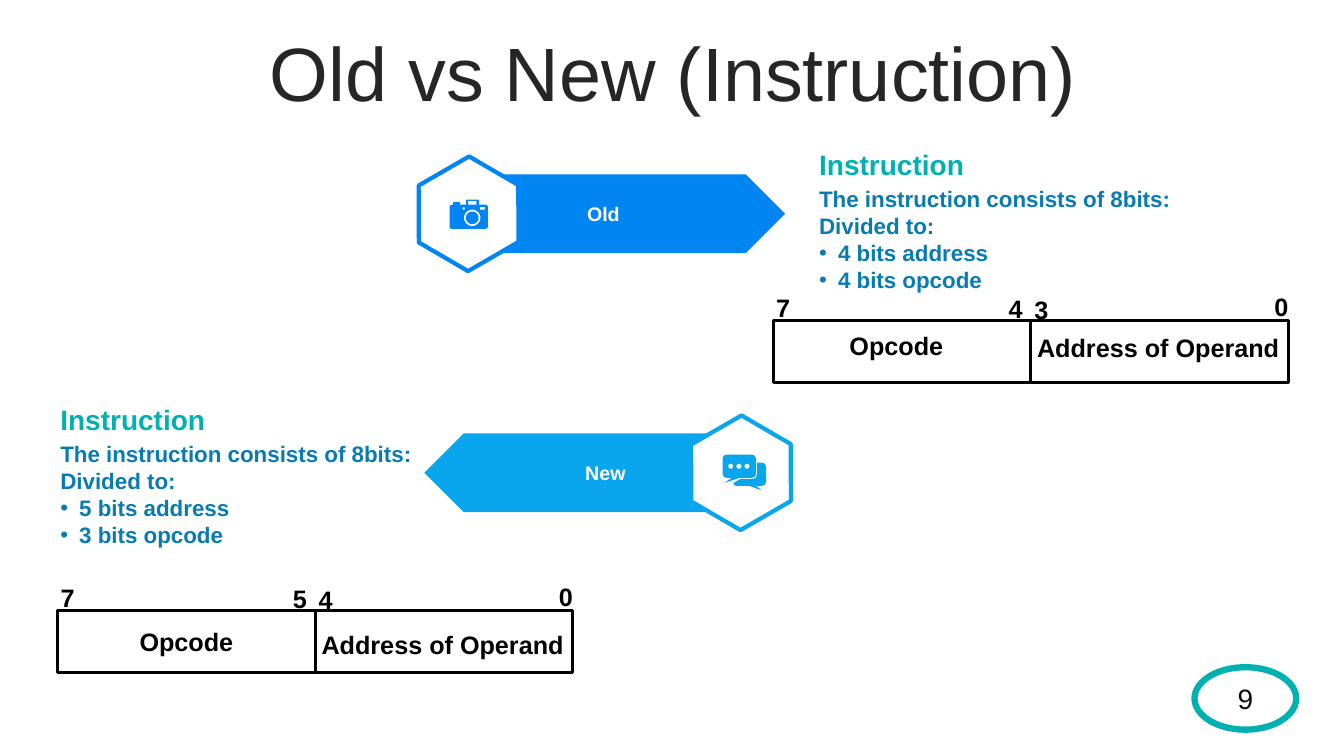
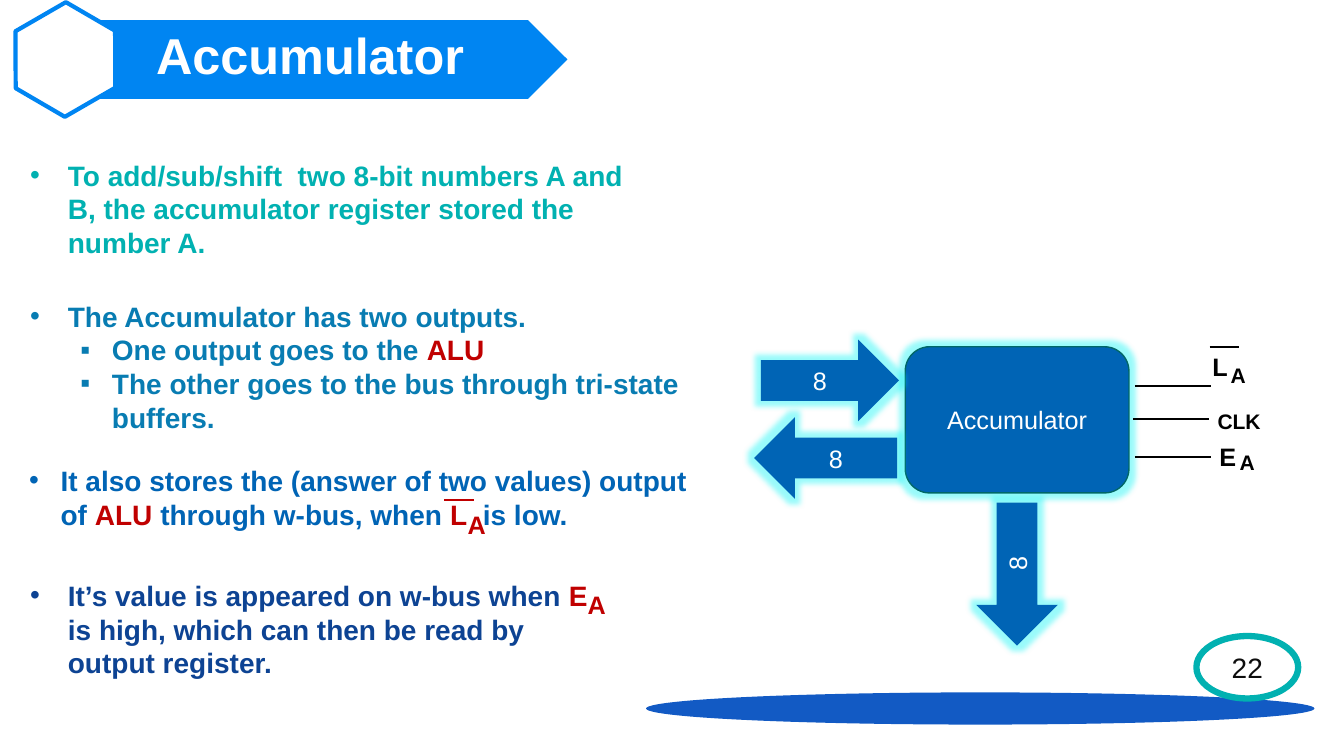
import math
from dataclasses import dataclass
from typing import NamedTuple

import pptx
import pptx.dml.color
import pptx.enum.shapes
import pptx.enum.text
import pptx.oxml.ns
import pptx.oxml.xmlchemy
import pptx.util
from lxml import etree

Pt = pptx.util.Pt
Shapes = pptx.enum.shapes.MSO_SHAPE
Align = pptx.enum.text.PP_ALIGN
Anchor = pptx.enum.text.MSO_ANCHOR
qn = pptx.oxml.ns.qn


@dataclass(frozen=True)
class Theme:
    font: str = "Arial"
    white: str = "FFFFFF"
    black: str = "000000"
    title: str = "262626"
    number: str = "0D0D0D"
    teal: str = "01B1B1"
    steel: str = "087CB2"
    ocean: str = "0064B5"
    navy: str = "0D4393"
    azure: str = "0085F2"
    sky: str = "0AA6ED"
    red: str = "C00000"
    floor: str = "125AC4"
    edge: str = "016767"
    glow: str = "00F5F5"
    huge: float = 54
    banner: float = 36
    large: float = 20
    medium: float = 18
    body: float = 16
    pin: float = 15
    label: float = 14


THEME = Theme()


class Box(NamedTuple):
    left: float
    top: float
    width: float
    height: float


class Span(NamedTuple):
    text: str
    color: str
    size: float
    bold: bool = True


class Para(NamedTuple):
    spans: list[Span]
    bullet: str = ""
    margin: float = 0
    hang: float = 0
    align: Align = Align.LEFT


class Corner(NamedTuple):
    x: float
    y: float
    radius: float = 0


class Banner(NamedTuple):
    plate: Box
    color: str
    label: str
    size: float
    label_box: Box
    points_left: bool = False


class Register(NamedTuple):
    left: float
    top: float
    bits: tuple[str, str, str, str]
    opcode_center: float
    opcode_top: float
    operand_top: float


class Pin(NamedTuple):
    text: str
    size: float
    left: float
    top: float


def rgb(color: str) -> pptx.dml.color.RGBColor:
    return pptx.dml.color.RGBColor.from_string(color)


def write(shape, paras: list[Para], anchor: Anchor = Anchor.TOP) -> None:
    frame = shape.text_frame
    frame.word_wrap = True
    frame.vertical_anchor = anchor
    for index, item in enumerate(paras):
        para = frame.add_paragraph() if index else frame.paragraphs[0]
        para.alignment = item.align
        if item.bullet:
            props = para._p.get_or_add_pPr()
            props.set("marL", str(Pt(item.margin)))
            props.set("indent", str(-Pt(item.hang)))
            etree.SubElement(props, qn("a:buFont")).set("typeface", THEME.font)
            etree.SubElement(props, qn("a:buChar")).set("char", item.bullet)
        for part in item.spans:
            span = para.add_run()
            span.text = part.text
            span.font.name = THEME.font
            span.font.size = Pt(part.size)
            span.font.bold = part.bold
            span.font.color.rgb = rgb(part.color)


def add_text(page, box: Box, paras: list[Para], anchor: Anchor = Anchor.TOP):
    shape = page.shapes.add_textbox(*map(Pt, box))
    write(shape, paras, anchor)
    return shape


def centered(text: str, color: str, size: float, bold: bool = True) -> list[Para]:
    return [Para([Span(text, color, size, bold)], align=Align.CENTER)]


def add_label(page, text: str, size: float, left: float, top: float, width: float = 40) -> None:
    add_text(page, Box(left, top, width, 28), [Para([Span(text, THEME.black, size)])])


def paint(shape, fill: str = "", line: str = "", weight: float = 0) -> None:
    if fill:
        shape.fill.solid()
        shape.fill.fore_color.rgb = rgb(fill)
    else:
        shape.fill.background()
    if line:
        shape.line.color.rgb = rgb(line)
        shape.line.width = Pt(weight)
    else:
        shape.line.fill.background()
    shape.shadow.inherit = False


def add_shape(page, kind: Shapes, box: Box, fill: str = "", line: str = "", weight: float = 0):
    shape = page.shapes.add_shape(kind, *map(Pt, box))
    paint(shape, fill, line, weight)
    return shape


def add_glow(shape) -> None:
    effects = shape._element.spPr.find(qn("a:effectLst"))
    glow = etree.SubElement(effects, qn("a:glow"))
    glow.set("rad", str(Pt(8)))
    color = etree.SubElement(glow, qn("a:srgbClr"))
    color.set("val", THEME.glow)
    etree.SubElement(color, qn("a:alpha")).set("val", "40000")


def add_line(page, x: float, y: float, length: float, color: str, weight: float = 1.5):
    line = page.shapes.add_connector(
        pptx.enum.shapes.MSO_CONNECTOR.STRAIGHT, Pt(x), Pt(y), Pt(x + length), Pt(y))
    line.line.color.rgb = rgb(color)
    line.line.width = Pt(weight)
    etree.SubElement(line._element.spPr, qn("a:effectLst"))
    return line


def outline(corners: list[Corner]) -> list[tuple[float, float]]:
    points = []
    for index, corner in enumerate(corners):
        if not corner.radius:
            points.append((corner.x, corner.y))
            continue
        ends = []
        for other in (corners[index - 1], corners[(index + 1) % len(corners)]):
            reach = corner.radius / math.hypot(other.x - corner.x, other.y - corner.y)
            ends.append((corner.x + (other.x - corner.x) * reach,
                         corner.y + (other.y - corner.y) * reach))
        (ax, ay), (bx, by) = ends
        for step in range(5):
            t = step / 4
            a, m, b = (1 - t) ** 2, 2 * t * (1 - t), t ** 2
            points.append((a * ax + m * corner.x + b * bx, a * ay + m * corner.y + b * by))
    return points


def circle(x: float, y: float, radius: float) -> list[tuple[float, float]]:
    angles = [math.tau * step / 24 for step in range(24)]
    return [(x + radius * math.cos(a), y + radius * math.sin(a)) for a in angles]


def window(left: float, top: float, right: float, bottom: float) -> list[tuple[float, float]]:
    return [(left, top), (right, top), (right, bottom), (left, bottom)]


def add_icon(page, left: float, top: float, contours: list, color: str) -> None:
    placed = [[(Pt(left + x), Pt(top + y)) for x, y in contour] for contour in contours]
    builder = page.shapes.build_freeform(*placed[0][0])
    for index, contour in enumerate(placed):
        if index:
            builder.move_to(*contour[0])
        builder.add_line_segments(contour[1:], close=True)
    paint(builder.convert_to_shape(), color)


def add_banner(page, banner: Banner) -> None:
    plate = banner.plate
    arrow = add_shape(page, Shapes.PENTAGON, plate, banner.color)
    width, height, overhang = 82, 70.6, 44
    left = plate.left - overhang
    if banner.points_left:
        arrow.rotation = 180
        left = plate.left + plate.width + overhang - width
    top = plate.top + (plate.height - height) / 2
    hexagon = add_shape(page, Shapes.HEXAGON, Box(left, top, width, height),
                        THEME.white, banner.color, 3)
    hexagon.adjustments[0] = 0.286
    hexagon.rotation = 330
    add_text(page, banner.label_box, centered(banner.label, THEME.white, banner.size))


def add_instruction(page, left: float, top: float, fields: list[str]) -> None:
    lines = ["The instruction consists of 8bits:", "Divided to:"]
    paras = [Para([Span(text, THEME.steel, THEME.body)]) for text in lines]
    paras += [Para([Span(text, THEME.steel, THEME.body)], "•", 13.5, 13.5) for text in fields]
    add_text(page, Box(left, top + 27.4, 345, 85), paras)
    add_text(page, Box(left, top, 345, 32), [Para([Span("Instruction", THEME.teal, THEME.large)])])


def add_register(page, register: Register) -> None:
    left, top, width = register.left, register.top, 368
    middle = left + width / 2
    frame = add_shape(page, Shapes.RECTANGLE, Box(left, top, width, 44), "", THEME.black, 2.25)
    divider = add_line(page, middle, top, 0, THEME.black, 2.25)
    divider.begin_connect(frame, 0)
    divider.end_connect(frame, 2)
    places = [(left - 5, 24), (middle - 23, 23), (middle - 4.6, 22.5), (left + width - 17, 24.5)]
    for bit, (x, rise) in zip(register.bits, places):
        add_label(page, bit, THEME.medium, x, top - rise, 25)
    for name, center, drop in (("Opcode", register.opcode_center, register.opcode_top),
                               ("Address of Operand", 275, register.operand_top)):
        add_text(page, Box(left + center - 100, top + drop, 200, 29),
                 centered(name, THEME.black, THEME.medium))


def add_number(page, number: str, left: float, top: float) -> None:
    badge = add_shape(page, Shapes.OVAL, Box(left, top, 72.7, 44.6), "", THEME.teal, 4.5)
    write(badge, centered(number, THEME.number, THEME.large, False), Anchor.MIDDLE)


def build_comparison(page) -> None:
    title = add_text(page, Box(25, 26.6, 911.5, 57),
                     centered("Old vs New (Instruction)", THEME.title, THEME.huge, False),
                     Anchor.MIDDLE)
    title.text_frame.paragraphs[0].line_spacing = 0.9
    title.text_frame.paragraphs[0].space_before = Pt(10)
    add_banner(page, Banner(Box(337.7, 124.6, 223.2, 56.2), THEME.azure, "Old", THEME.label,
                            Box(384.5, 140.4, 93, 24.5)))
    add_banner(page, Banner(Box(303.1, 309.6, 223.2, 56.2), THEME.sky, "New", THEME.label,
                            Box(385.9, 325.4, 93, 24.5), True))
    camera = [Corner(0, 3.6, 2), Corner(2.5, 3.6), Corner(2.5, 1.8, 0.5), Corner(7.4, 1.8, 0.5),
              Corner(7.4, 3.6), Corner(11.8, 3.6), Corner(11.8, 0, 0.7), Corner(20.9, 0, 0.7),
              Corner(20.9, 3.6), Corner(27.4, 3.6, 2), Corner(27.4, 20.9, 2), Corner(0, 20.9, 2)]
    add_icon(page, 321.1, 142.6,
             [outline(camera), window(13.3, 0.9, 19.1, 3.6), window(9.4, 5.6, 10.8, 7.2),
              window(21.6, 5.4, 25.2, 7.2), circle(16.2, 13, 5.9), circle(16.2, 13, 4.5)],
             THEME.azure)
    front = [Corner(0, 0, 3.4), Corner(23.8, 0, 3.4), Corner(23.8, 16.6, 3.4),
             Corner(12.2, 16.6), Corner(1.4, 20.2), Corner(6.5, 16.6), Corner(0, 16.6, 3.4)]
    back = [Corner(24.5, 5.8), Corner(31, 5.8, 3.4), Corner(31, 22.3, 3.4), Corner(23.8, 22.3),
            Corner(28.1, 25.6), Corner(18.7, 22.3), Corner(7.9, 22.3, 2), Corner(7.9, 20.2),
            Corner(13, 17.3), Corner(24.5, 17.3, 3.4)]
    dots = [circle(5.8 + 5.8 * index, 8.3, 1.8) for index in range(3)]
    add_icon(page, 516.2, 324.7, [outline(front), outline(back), *dots], THEME.sky)
    add_instruction(page, 578, 101.5, ["4 bits address", "4 bits opcode"])
    add_instruction(page, 36, 283.7, ["5 bits address", "3 bits opcode"])
    add_register(page, Register(552.3, 229, ("7", "4", "3", "0"), 88, 3.6, 5))
    add_register(page, Register(41.2, 436.3, ("7", "5", "4", "0"), 92, 7.2, 10))
    add_number(page, "9", 853.2, 476.6)


def build_accumulator(page) -> None:
    add_shape(page, Shapes.OVAL, Box(461.5, 494.6, 477.4, 23), THEME.floor)
    size = THEME.large
    add_text(page, Box(14.4, 109.4, 448.6, 80), [
        Para([Span("To add/sub/shift  two 8-bit numbers A and B, the accumulator register "
                   "stored the number A.", THEME.teal, size)], "•", 27, 27)])
    add_text(page, Box(14.4, 210.2, 493, 104), [
        Para([Span("The Accumulator has two outputs.", THEME.steel, size)], "•", 27, 27),
        Para([Span("One output goes to the ", THEME.steel, size),
              Span("ALU", THEME.red, size)], "▪", 58.5, 22.5),
        Para([Span("The other goes to the bus through tri-state buffers.", THEME.steel, size)],
             "▪", 58.5, 22.5)])
    add_text(page, Box(13.7, 327.6, 493, 55), [
        Para([Span("It also stores the (answer of two values) output of ", THEME.ocean, size),
              Span("ALU", THEME.red, size),
              Span(" through w-bus, when ", THEME.ocean, size),
              Span("L", THEME.red, size),
              Span("  is low.", THEME.ocean, size)], "•", 22.5, 22.5)])
    add_line(page, 317.5, 357.1, 20.9, THEME.red)
    add_text(page, Box(14.4, 409.7, 431.3, 80), [
        Para([Span("It’s value is appeared on w-bus when ", THEME.navy, size),
              Span("E", THEME.red, size),
              Span(" is high, which can then be read by output register.", THEME.navy, size)],
             "•", 27, 27)])
    for left, top in ((412.6, 424.1), (326.9, 366.5)):
        add_text(page, Box(left, top, 22.3, 15.8),
                 centered("A", THEME.red, THEME.medium), Anchor.MIDDLE)
    add_banner(page, Banner(Box(49.7, 14.4, 355.7, 56.2), THEME.azure, "Accumulator",
                            THEME.banner, Box(40, 13.7, 363, 51)))
    core = add_shape(page, Shapes.ROUNDED_RECTANGLE, Box(646.6, 247.7, 159.8, 104.4),
                     THEME.ocean, THEME.edge, 1)
    add_glow(core)
    write(core, centered("Accumulator", THEME.white, THEME.medium, False), Anchor.MIDDLE)
    for kind, box, turn in ((Shapes.LEFT_ARROW, Box(538.6, 298, 102.2, 58.3), 0),
                            (Shapes.RIGHT_ARROW, Box(543.6, 242.6, 98.6, 58.3), 0),
                            (Shapes.LEFT_ARROW, Box(675.4, 380.9, 102.2, 58.3), 270)):
        arrow = add_shape(page, kind, box, THEME.ocean)
        arrow.rotation = turn
        add_glow(arrow)
        write(arrow, centered("8", THEME.white, THEME.medium, False), Anchor.MIDDLE)
    for x, y, length in ((810.7, 275.8, 54), (809.3, 299.5, 54), (810.7, 326.2, 54),
                         (864, 247.7, 20.9)):
        add_line(page, x, y, length, THEME.black)
    for pin in (Pin("L", THEME.medium, 859, 247.7), Pin("A", THEME.pin, 871.9, 255.6),
                Pin("CLK", THEME.pin, 862.6, 288), Pin("E", THEME.medium, 864, 311.8),
                Pin("A", THEME.pin, 878.4, 317.5)):
        add_label(page, pin.text, pin.size, pin.left, pin.top, 56)
    add_number(page, "22", 854.6, 454.3)


def main() -> None:
    deck = pptx.Presentation()
    deck.slide_width, deck.slide_height = Pt(960), Pt(540)
    for build in (build_comparison, build_accumulator):
        build(deck.slides.add_slide(deck.slide_layouts[6]))
    deck.save("out.pptx")


if __name__ == "__main__":
    main()
